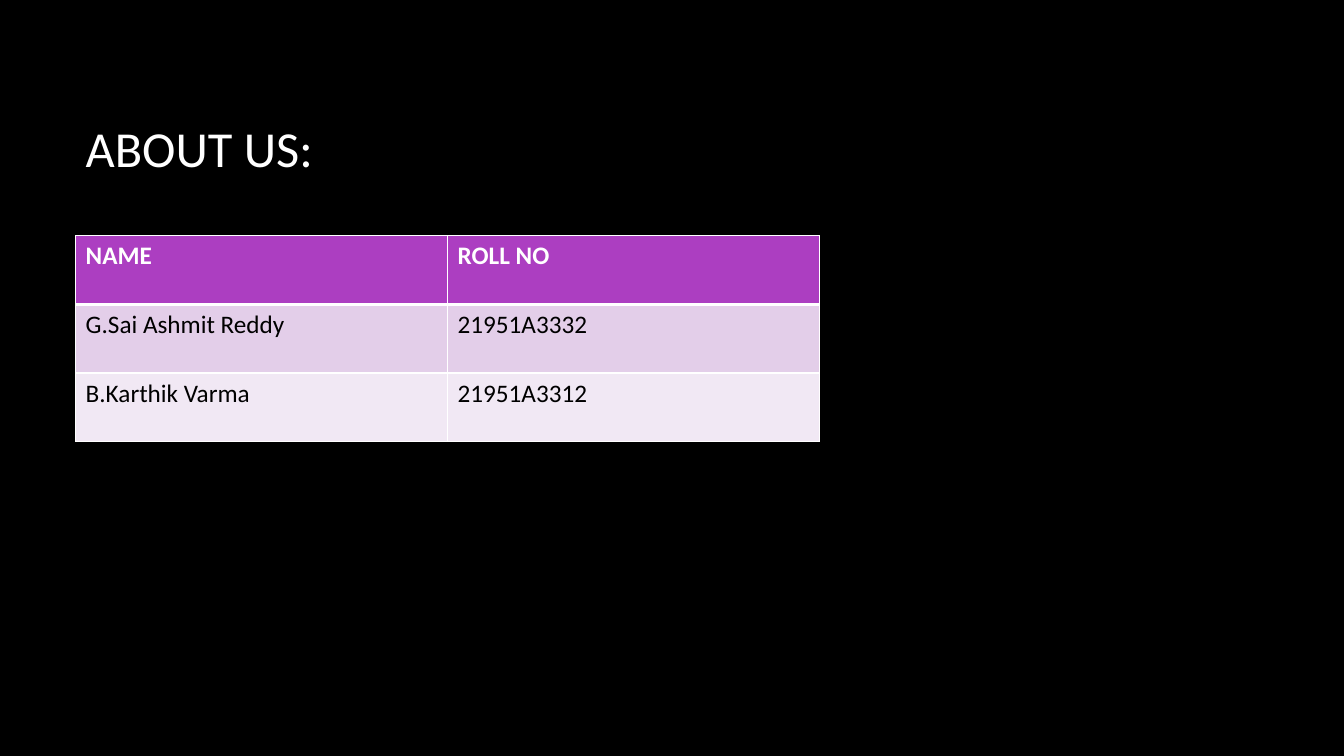
from lxml import etree
from pptx import Presentation
from pptx.dml.color import RGBColor
from pptx.enum import text
from pptx.oxml import ns
from pptx.util import Inches, Pt

TITLE = "ABOUT US:"
ROWS = [
    ("NAME", "ROLL NO"),
    ("G.Sai Ashmit Reddy", "21951A3332"),
    ("B.Karthik Varma", "21951A3312"),
]

BLACK = RGBColor(0x00, 0x00, 0x00)
WHITE = RGBColor(0xFF, 0xFF, 0xFF)
PURPLE = RGBColor(0xAC, 0x3E, 0xC1)
LILAC = RGBColor(0xE3, 0xCE, 0xE9)
PALE_LILAC = RGBColor(0xF1, 0xE8, 0xF4)
ROW_FILLS = [PURPLE, LILAC, PALE_LILAC]

FONT = "Calibri"
LEFT = Inches(0.75)
COLUMN_WIDTH = Inches(3.69)
ROW_HEIGHT = Inches(0.68)


def format_paragraph(paragraph, size, color, bold=False):
    paragraph.alignment = text.PP_ALIGN.LEFT
    paragraph.font.name = FONT
    paragraph.font.size = Pt(size)
    paragraph.font.bold = bold
    paragraph.font.color.rgb = color


def set_borders(cell, widths):
    """Draw white cell borders; widths maps L, R, T, B to points."""
    properties = cell._tc.get_or_add_tcPr()
    for position, (side, width) in enumerate(widths.items()):
        line = etree.Element(ns.qn(f"a:ln{side}"), w=str(Pt(width)))
        fill = etree.SubElement(line, ns.qn("a:solidFill"))
        etree.SubElement(fill, ns.qn("a:srgbClr"), val=str(WHITE))
        properties.insert(position, line)


def main():
    presentation = Presentation()
    presentation.slide_width = Inches(13.33)
    presentation.slide_height = Inches(7.5)
    slide = presentation.slides.add_slide(presentation.slide_layouts[5])
    slide.background.fill.solid()
    slide.background.fill.fore_color.rgb = BLACK

    title = slide.shapes.title
    title.left, title.top = LEFT, Inches(0.67)
    title.width, title.height = Inches(11.08), Inches(1.59)
    title.text_frame.text = TITLE
    title.text_frame.vertical_anchor = text.MSO_ANCHOR.MIDDLE
    format_paragraph(title.text_frame.paragraphs[0], 36, WHITE)

    columns = len(ROWS[0])
    table = slide.shapes.add_table(
        len(ROWS), columns, LEFT, Inches(2.34),
        COLUMN_WIDTH * columns, ROW_HEIGHT * len(ROWS)).table
    for row, (values, fill) in enumerate(zip(ROWS, ROW_FILLS)):
        header = row == 0
        for column, value in enumerate(values):
            cell = table.cell(row, column)
            cell.text = value
            cell.fill.solid()
            cell.fill.fore_color.rgb = fill
            format_paragraph(cell.text_frame.paragraphs[0], 18,
                             WHITE if header else BLACK, header)
            set_borders(cell, {"L": 1, "R": 1, "T": 3 if row == 1 else 1,
                               "B": 3 if header else 1})

    presentation.save("out.pptx")


if __name__ == "__main__":
    main()
